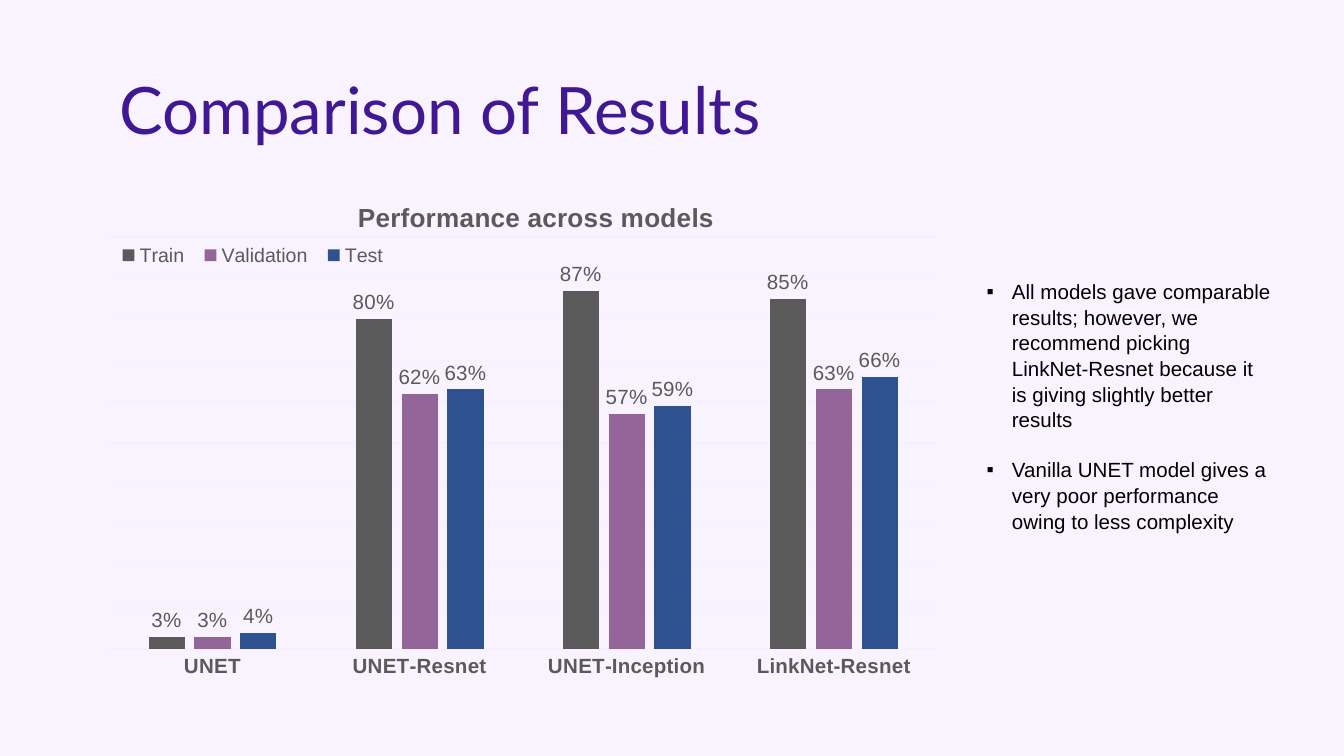
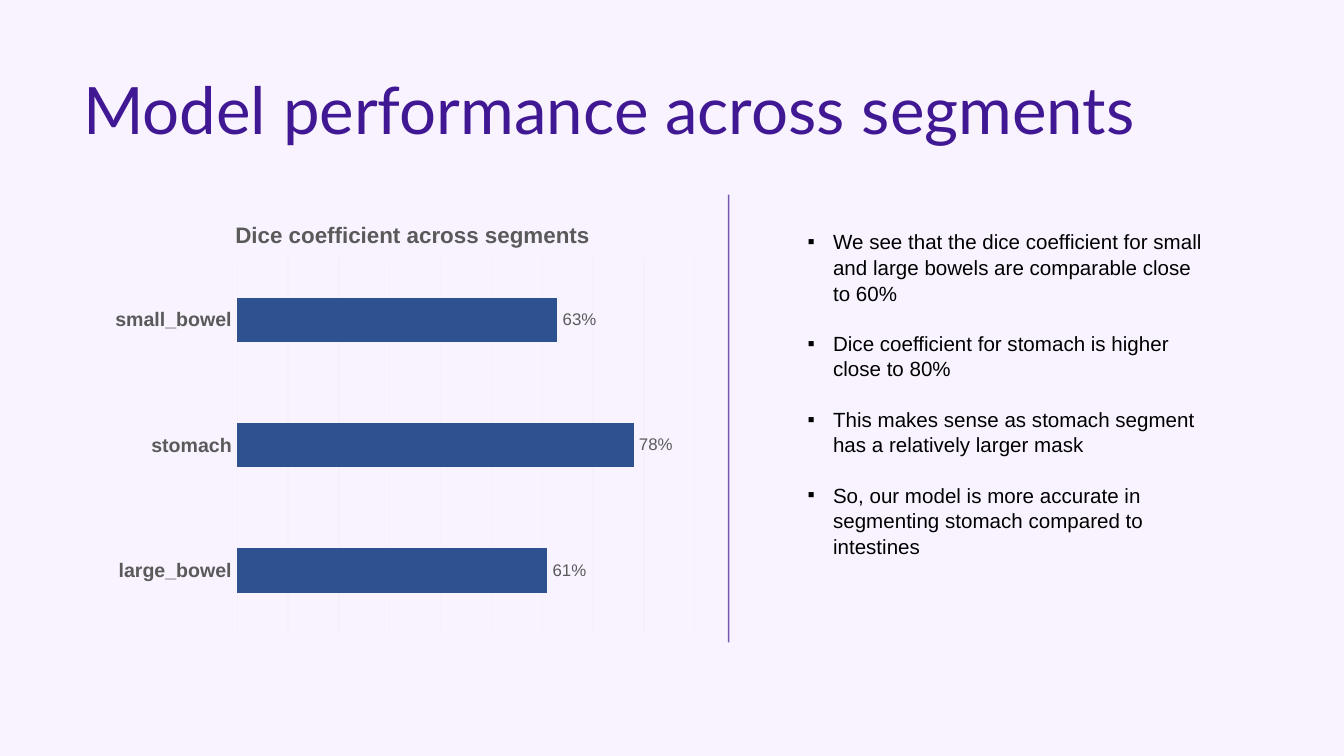
"""Build two slides that compare segmentation models and segments with charts."""
from lxml.etree import SubElement
from pptx import Presentation
from pptx.chart.data import CategoryChartData
from pptx.dml.color import RGBColor
from pptx.enum.chart import XL_CHART_TYPE as ChartType
from pptx.enum.chart import XL_LABEL_POSITION as LabelPosition
from pptx.enum.chart import XL_LEGEND_POSITION as LegendPosition
from pptx.enum.chart import XL_TICK_MARK as TickMark
from pptx.enum.shapes import MSO_CONNECTOR as Connector
from pptx.enum.text import MSO_ANCHOR as Anchor
from pptx.enum.text import MSO_AUTO_SIZE as AutoSize
from pptx.enum.text import PP_ALIGN as Align
from pptx.oxml import parse_xml
from pptx.oxml.ns import nsdecls, qn
from pptx.util import Cm, Pt

COLORS = {
    "background": "F9F3FF", "title": "411893", "text": "000000",
    "chart": "C59BF1", "label": "5A5A5A", "grid": "F6F0FD", "divider": "3E1493",
    "train": "5A5A5A", "validation": "946599", "test": "2D528F",
}
BODY_FONT = "Arial"
LINE_HEIGHT = Pt(13.2)

SLIDES = [
    {
        "title": "Comparison of Results",
        "title_box": (2.01, 1.24, 21.41, 1.6),
        "points": [
            "All models gave comparable results; however, we recommend picking "
            "LinkNet-Resnet because it is giving slightly better results",
            "Vanilla UNET model gives a very poor performance owing to less complexity",
        ],
        "points_box": (18.39, 5.13, 5.89, 5.44),
        "chart": {
            "type": ChartType.COLUMN_CLUSTERED,
            "box": (1.73, 3.2, 16.48, 9.86),
            "title": "Performance across models",
            "categories": ["UNET", "UNET-Resnet", "UNET-Inception", "LinkNet-Resnet"],
            "series": [
                ("Train", "train", (0.03, 0.8, 0.87, 0.85)),
                ("Validation", "validation", (0.03, 0.62, 0.57, 0.63)),
                ("Test", "test", (0.04, 0.63, 0.59, 0.66)),
            ],
            "sizes": {"title": 14, "category": 11, "label": 11},
            "gap": 219, "overlap": -27, "maximum": 1,
            "title_place": (0.3, 0.05),
            "plot_place": (0.02, 0.13, 0.95, 0.79),
            "legend_place": (0.02, 0.13, 0.33, 0.07),
        },
    },
    {
        "title": "Model performance across segments",
        "title_box": (1.32, 1.24, 22.07, 1.6),
        "points": [
            "We see that the dice coefficient for small and large bowels are "
            "comparable close to 60%",
            "Dice coefficient for stomach is higher close to 80%",
            "This makes sense as stomach segment has a relatively larger mask",
            "So, our model is more accurate in segmenting stomach compared to intestines",
        ],
        "points_box": (15.01, 4.19, 8.05, 6.38),
        "chart": {
            "type": ChartType.BAR_CLUSTERED,
            "box": (1.98, 3.68, 11.38, 8.46),
            "title": "Dice coefficient across segments",
            "categories": ["large_bowel", "stomach", "small_bowel"],
            "series": [("Series 1", "test", (0.61, 0.78, 0.63))],
            "sizes": {"title": 12, "category": 10.5, "label": 9},
            "gap": 182, "overlap": 0, "maximum": 0.9,
            "title_place": (0.21, 0.05),
            "plot_place": (0.22, 0.14, 0.76, 0.84),
        },
        "divider": (13.77, 3.68, 13.77, 12.14),
    },
]


def color(name):
    return RGBColor.from_string(COLORS[name])


def lengths(values):
    return [Cm(value) for value in values]


def style_font(font, size, color_name, bold=False, name=BODY_FONT):
    font.name, font.size, font.bold = name, Pt(size), bold
    font.color.rgb = color(color_name)


def style_line(line, color_name):
    line.color.rgb = color(color_name)
    line.width = Pt(0.75)


def move(shape, box):
    shape.left, shape.top, shape.width, shape.height = lengths(box)


def place_part(parent, index, place, inner=False):
    """Give a chart part a manual layout in fractions of the chart."""
    for old in parent.findall(qn("c:layout")):
        parent.remove(old)
    layout = parse_xml(f"<c:layout {nsdecls('c')}><c:manualLayout/></c:layout>")
    settings = [("layoutTarget", "inner")] if inner else []
    settings += [("xMode", "edge"), ("yMode", "edge")]
    settings += zip("xywh", place)
    for tag, value in settings:
        SubElement(layout[0], qn(f"c:{tag}")).set("val", str(value))
    parent.insert(index, layout)


def add_title(slide, text, box):
    title = slide.shapes.title
    move(title, box)
    frame = title.text_frame
    frame.text = text
    frame.word_wrap, frame.auto_size = True, AutoSize.NONE
    frame.vertical_anchor = Anchor.MIDDLE
    frame.margin_left = frame.margin_right = Cm(0.25)
    frame.margin_top = frame.margin_bottom = Cm(0.25)
    paragraph = frame.paragraphs[0]
    paragraph.alignment = Align.LEFT
    style_font(paragraph.font, 35, "title", name="Lato")


def add_points(slide, points, box):
    body = slide.placeholders[1]
    move(body, box)
    frame = body.text_frame
    frame.text = "\n".join(points)
    frame.word_wrap, frame.auto_size = True, AutoSize.NONE
    for index, paragraph in enumerate(frame.paragraphs):
        properties = paragraph._p.get_or_add_pPr()
        properties.set("marL", str(Cm(0.48)))
        properties.set("indent", str(-Cm(0.48)))
        bullet_color = SubElement(properties, qn("a:buClr"))
        SubElement(bullet_color, qn("a:srgbClr")).set("val", COLORS["text"])
        SubElement(properties, qn("a:buChar")).set("char", "▪")
        paragraph.line_spacing = 1.04
        paragraph.space_before = LINE_HEIGHT if index else Pt(0)
        style_font(paragraph.font, 11, "text")


def add_chart(slide, content):
    data = CategoryChartData(number_format="0%")
    data.categories = content["categories"]
    for name, _, values in content["series"]:
        data.add_series(name, values)
    chart = slide.shapes.add_chart(content["type"], *lengths(content["box"]), data).chart
    sizes = content["sizes"]
    style_font(chart.font, 10, "chart")

    title = chart.chart_title
    title.text_frame.text = content["title"]
    style_font(title.text_frame.paragraphs[0].font, sizes["title"], "label", bold=True)
    place_part(title._element, 1, content["title_place"])

    plot = chart.plots[0]
    plot.vary_by_categories = False
    plot.gap_width, plot.overlap = content["gap"], content["overlap"]
    for series, (_, color_name, _) in zip(plot.series, content["series"]):
        series.format.fill.solid()
        series.format.fill.fore_color.rgb = color(color_name)
        labels = series.data_labels
        labels.show_value, labels.position = True, LabelPosition.OUTSIDE_END
        labels.number_format, labels.number_format_is_linked = "0%", False
        style_font(labels.font, sizes["label"], "label")
    place_part(chart._chartSpace.chart.plotArea, 0, content["plot_place"], inner=True)

    category_axis, value_axis = chart.category_axis, chart.value_axis
    category_axis.major_tick_mark = category_axis.minor_tick_mark = TickMark.NONE
    style_font(category_axis.tick_labels.font, sizes["category"], "label", bold=True)
    style_line(category_axis.format.line, "grid")
    value_axis.minimum_scale, value_axis.maximum_scale = 0, content["maximum"]
    value_axis.major_unit = 0.1
    value_axis.visible = False
    style_line(value_axis.major_gridlines.format.line, "grid")

    chart.has_legend = "legend_place" in content
    if chart.has_legend:
        legend = chart.legend
        legend.position, legend.include_in_layout = LegendPosition.BOTTOM, False
        style_font(legend.font, 10.5, "label")
        place_part(legend._element, 1, content["legend_place"])


def add_divider(slide, ends):
    divider = slide.shapes.add_connector(Connector.STRAIGHT, *lengths(ends))
    style_line(divider.line, "divider")
    properties = divider._element.spPr
    line_color = next(properties.iter(qn("a:srgbClr")))
    SubElement(line_color, qn("a:alpha")).set("val", "70000")
    SubElement(properties, qn("a:effectLst"))


def main():
    presentation = Presentation()
    presentation.slide_width, presentation.slide_height = Cm(25.4), Cm(14.29)
    background = presentation.slide_master.background.fill
    background.solid()
    background.fore_color.rgb = color("background")
    for content in SLIDES:
        slide = presentation.slides.add_slide(presentation.slide_layouts[1])
        add_title(slide, content["title"], content["title_box"])
        add_chart(slide, content["chart"])
        add_points(slide, content["points"], content["points_box"])
        if "divider" in content:
            add_divider(slide, content["divider"])
    presentation.save("out.pptx")


if __name__ == "__main__":
    main()
